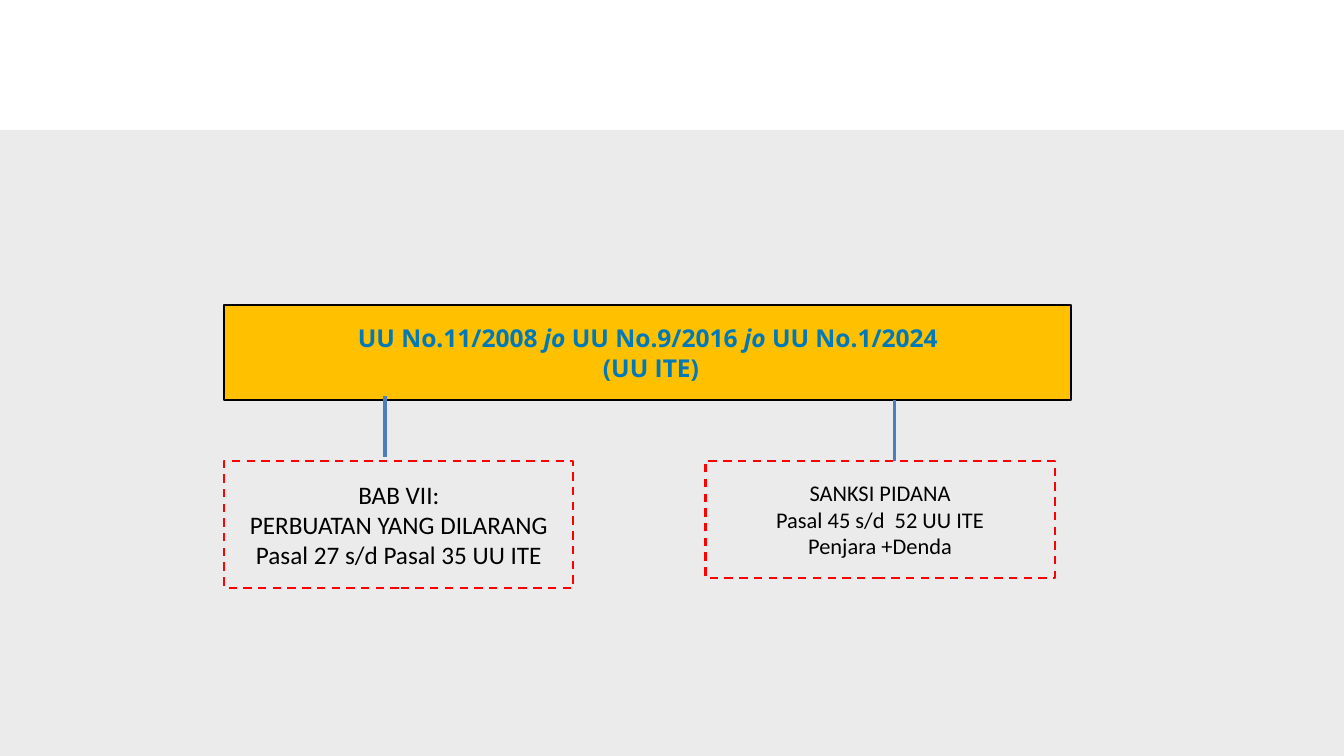
from lxml import etree
from pptx import Presentation
from pptx.dml.color import RGBColor
from pptx.enum import dml, shapes, text
from pptx.oxml.ns import qn
from pptx.util import Inches, Pt

WHITE = RGBColor(0xFF, 0xFF, 0xFF)
GREY = RGBColor(0xEB, 0xEB, 0xEB)
AMBER = RGBColor(0xFF, 0xC0, 0x00)
BLACK = RGBColor(0x00, 0x00, 0x00)
RED = RGBColor(0xFF, 0x00, 0x00)
LAW_BLUE = RGBColor(0x00, 0x79, 0xB8)
LINK_BLUE = RGBColor(0x4B, 0x7E, 0xBC)

CHAPTER = ["BAB VII:", "PERBUATAN YANG DILARANG", "Pasal 27 s/d Pasal 35 UU ITE"]
SANCTIONS = ["SANKSI PIDANA", "Pasal 45 s/d  52 UU ITE", "Penjara +Denda"]
LAWS = ["UU No.11/2008 ", "jo ", "UU No.9/2016 ", "jo ", "UU No.1/2024"]


def add_box(slide, box, fill=None, outline=None):
    """Add a rectangle at box (left, top, width, height in inches)."""
    rect = slide.shapes.add_shape(
        shapes.MSO_SHAPE.RECTANGLE, *(Inches(n) for n in box))
    rect.shadow.inherit = False
    if fill is None:
        rect.fill.background()
    else:
        rect.fill.solid()
        rect.fill.fore_color.rgb = fill
    if outline is None:
        rect.line.fill.background()
    else:
        rect.line.color.rgb = outline
        rect.line.width = Pt(3)
    rect.text_frame.word_wrap = True
    rect.text_frame.vertical_anchor = text.MSO_ANCHOR.MIDDLE
    return rect


def format_run(run, name, size, color):
    run.font.name = name
    run.font.size = Pt(size)
    run.font.color.rgb = color


def add_law_banner(slide, box):
    banner = add_box(slide, box, AMBER, BLACK)
    laws = banner.text_frame.paragraphs[0]
    laws.alignment = text.PP_ALIGN.CENTER
    for part in LAWS:
        run = laws.add_run()
        run.text = part
        run.font.italic = part == "jo "
    laws.add_line_break()
    laws.add_run().text = " (UU ITE)"
    for run in laws.runs:
        format_run(run, "Open Sans", 35.1, LAW_BLUE)
        run.font.bold = True


def add_provision(slide, box, lines, size):
    provision = add_box(slide, box, outline=RED)
    provision.line.dash_style = dml.MSO_LINE.DASH
    provision.text_frame.text = "\n".join(lines)
    for paragraph in provision.text_frame.paragraphs:
        paragraph.alignment = text.PP_ALIGN.CENTER
        format_run(paragraph.runs[0], "Calibri", size, BLACK)


def add_link(slide, x, top, length=1.2):
    link = slide.shapes.add_connector(
        shapes.MSO_CONNECTOR.STRAIGHT,
        Inches(x), Inches(top), Inches(x), Inches(top + length))
    link.line.color.rgb = LINK_BLUE
    link.line.width = Pt(4.5)
    etree.SubElement(link._element.spPr, qn("a:effectLst"))


def add_law_diagram(slide, box):
    """Place the banner on top, with a provision under each end."""
    left, top, width, height = box
    banner_height = 1.89
    lower = top + 3.09
    add_provision(slide, (left, lower, 6.93, height - 3.09), CHAPTER, 36)
    add_provision(slide, (left + 9.55, lower, 6.93, 2.32), SANCTIONS, 32)
    add_law_banner(slide, (left, top, width, banner_height))
    add_link(slide, left + 13.3, top + banner_height)
    add_link(slide, left + 3.19, top + banner_height - 0.08)


def main():
    deck = Presentation()
    deck.slide_width, deck.slide_height = Inches(26.67), Inches(15)
    slide = deck.slides.add_slide(deck.slide_layouts[6])
    slide.background.fill.solid()
    slide.background.fill.fore_color.rgb = WHITE
    add_box(slide, (0, 2.58, 26.67, 12.42), GREY)
    add_law_diagram(slide, (4.45, 6.05, 16.81, 5.61))
    deck.save("out.pptx")


if __name__ == "__main__":
    main()
